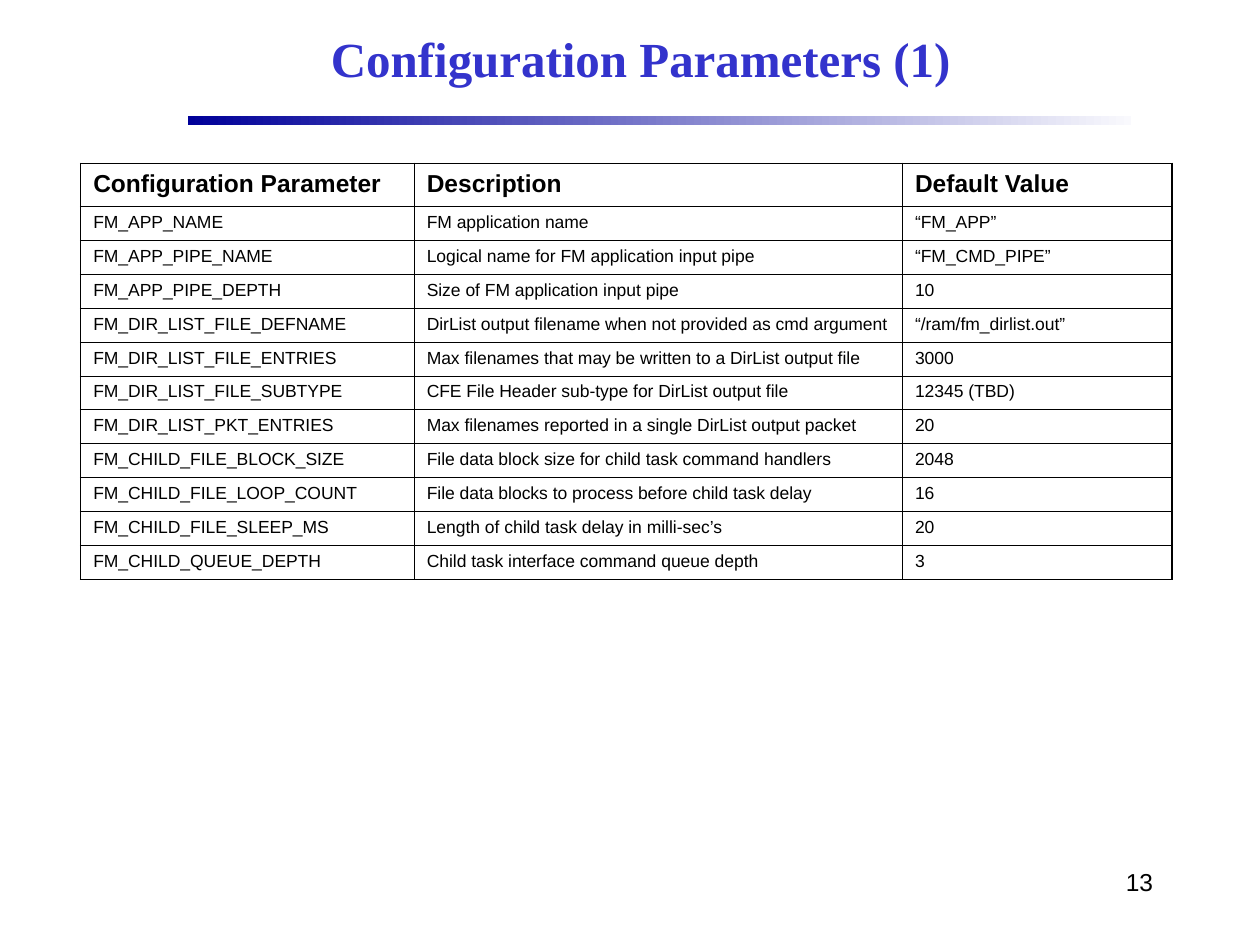
from collections import namedtuple

from lxml.etree import SubElement
from pptx import Presentation
from pptx.dml.color import RGBColor
from pptx.enum.shapes import MSO_SHAPE
from pptx.enum.text import MSO_ANCHOR, PP_ALIGN
from pptx.oxml.ns import qn
from pptx.util import Inches, Pt

BLACK = RGBColor(0x00, 0x00, 0x00)
TITLE_BLUE = RGBColor(0x33, 0x33, 0xCC)
RULE_START = RGBColor(0x00, 0x00, 0x99)
RULE_END = RGBColor(0xF9, 0xF9, 0xFD)

WIDTH, HEIGHT = Inches(10), Inches(7.5)
THICK, THIN = Pt(1.08), Pt(0.45)
COLUMN_SHARES = (2.65, 3.88, 2.14)
ROW_SHARES = (0.34,) + (0.27,) * 11

ROWS = (
    ("Configuration Parameter", "Description", "Default Value"),
    ("FM_APP_NAME", "FM application name", "“FM_APP”"),
    ("FM_APP_PIPE_NAME", "Logical name for FM application input pipe", "“FM_CMD_PIPE”"),
    ("FM_APP_PIPE_DEPTH", "Size of FM application input pipe", "10"),
    ("FM_DIR_LIST_FILE_DEFNAME", "DirList output filename when not provided as cmd argument", "“/ram/fm_dirlist.out”"),
    ("FM_DIR_LIST_FILE_ENTRIES", "Max filenames that may be written to a DirList output file", "3000"),
    ("FM_DIR_LIST_FILE_SUBTYPE", "CFE File Header sub-type for DirList output file", "12345 (TBD)"),
    ("FM_DIR_LIST_PKT_ENTRIES", "Max filenames reported in a single DirList output packet", "20"),
    ("FM_CHILD_FILE_BLOCK_SIZE", "File data block size for child task command handlers", "2048"),
    ("FM_CHILD_FILE_LOOP_COUNT", "File data blocks to process before child task delay", "16"),
    ("FM_CHILD_FILE_SLEEP_MS", "Length of child task delay in milli-sec’s", "20"),
    ("FM_CHILD_QUEUE_DEPTH", "Child task interface command queue depth", "3"),
)

Box = namedtuple("Box", "left top width height")


def share_box(left, top, width, height):
    """Return a box from shares of the slide's width and height."""
    return Box(int(left * WIDTH), int(top * HEIGHT), int(width * WIDTH), int(height * HEIGHT))


def style_paragraph(para, name, size, color, bold=False):
    """Set the font of a whole paragraph."""
    para.font.name = name
    para.font.size = Pt(size)
    para.font.bold = bold
    para.font.color.rgb = color


def add_label(page, box, text, align, anchor):
    """Place one line of text in the box and return its paragraph."""
    frame = page.shapes.add_textbox(*box).text_frame
    frame.word_wrap = True
    frame.vertical_anchor = anchor
    para = frame.paragraphs[0]
    para.text = text
    para.alignment = align
    return para


def add_title(page, box):
    """Place the slide title."""
    para = add_label(page, box, "Configuration Parameters (1)", PP_ALIGN.CENTER, MSO_ANCHOR.MIDDLE)
    style_paragraph(para, "Times New Roman", 28, TITLE_BLUE, bold=True)


def add_rule(page, box):
    """Place the fading bar under the title."""
    bar = page.shapes.add_shape(MSO_SHAPE.RECTANGLE, *box)
    bar.shadow.inherit = False
    bar.line.fill.background()
    bar.fill.gradient()
    bar.fill.gradient_angle = 0
    for stop, color in zip(bar.fill.gradient_stops, (RULE_START, RULE_END)):
        stop.color.rgb = color


def add_page_number(page, box):
    """Place the page number."""
    para = add_label(page, box, "13", PP_ALIGN.RIGHT, MSO_ANCHOR.TOP)
    style_paragraph(para, "Arial", 14, BLACK)


def set_borders(cell, outer_sides):
    """Draw the cell's borders, thick on the table's outer sides."""
    properties = cell._tc.get_or_add_tcPr()
    for side, is_outer in zip("LRTB", outer_sides):
        line = SubElement(properties, qn(f"a:ln{side}"), w=str(THICK if is_outer else THIN))
        fill = SubElement(line, qn("a:solidFill"))
        SubElement(fill, qn("a:srgbClr"), val=str(BLACK))


def add_parameter_table(page, box):
    """Place the table of parameters, split by column and row shares."""
    last_row, last_column = len(ROWS) - 1, len(COLUMN_SHARES) - 1
    table = page.shapes.add_table(len(ROWS), len(COLUMN_SHARES), *box).table
    table.first_row = table.horz_banding = False
    for column, share in zip(table.columns, COLUMN_SHARES):
        column.width = int(box.width * share / sum(COLUMN_SHARES))
    for row, share in zip(table.rows, ROW_SHARES):
        row.height = int(box.height * share / sum(ROW_SHARES))
    for r, texts in enumerate(ROWS):
        is_header = r == 0
        for c, text in enumerate(texts):
            cell = table.cell(r, c)
            set_borders(cell, (c == 0, c == last_column, is_header, r == last_row))
            cell.fill.background()
            para = cell.text_frame.paragraphs[0]
            para.text = text
            para.space_before = Pt(6.1 if is_header else 4.4)
            style_paragraph(para, "Arial", 14 if is_header else 10, BLACK, bold=is_header)


def main():
    """Build the slide and save the deck."""
    deck = Presentation()
    deck.slide_width, deck.slide_height = WIDTH, HEIGHT
    page = deck.slides.add_slide(deck.slide_layouts[6])
    add_rule(page, share_box(0.149, 0.1225, 0.749, 0.0095))
    add_page_number(page, share_box(0.717, 0.911, 0.208, 0.067))
    add_title(page, share_box(0.15, 0.011, 0.717, 0.1))
    add_parameter_table(page, share_box(0.064, 0.173, 0.866, 0.4405))
    deck.save("out.pptx")


if __name__ == "__main__":
    main()
